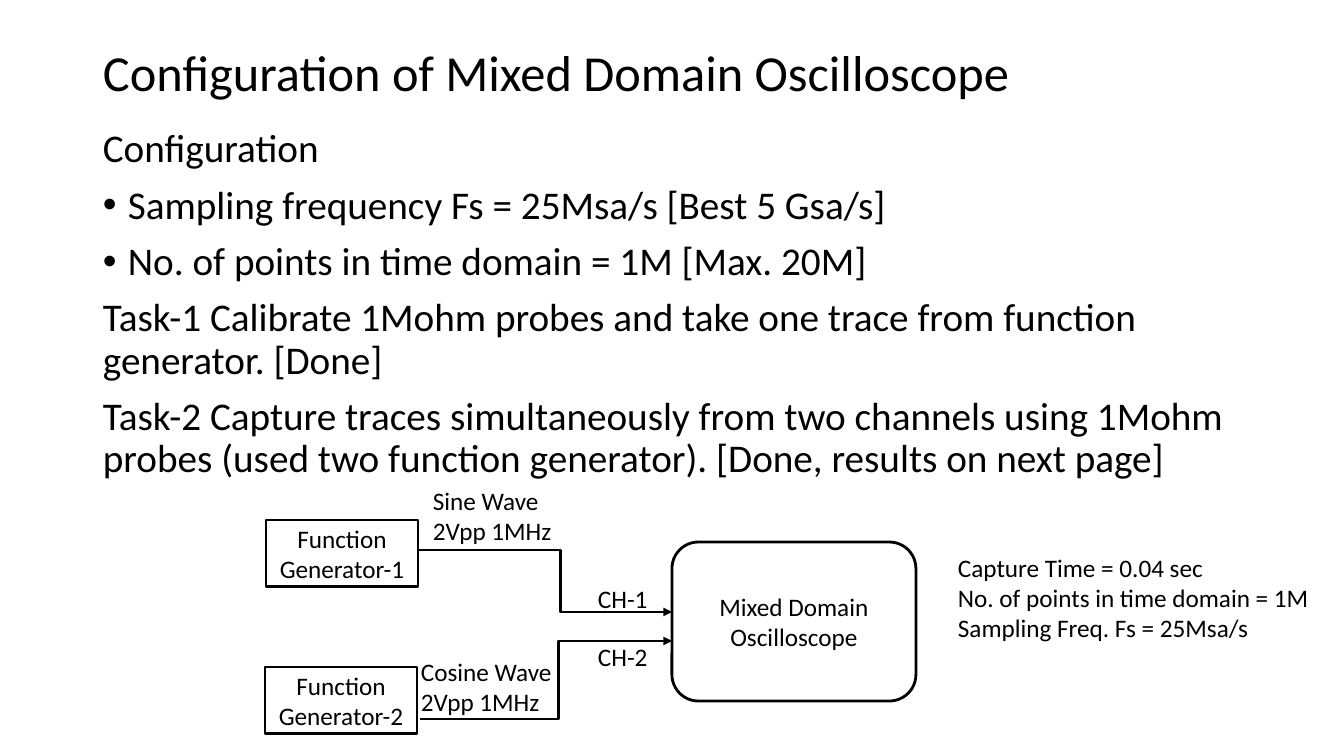
from dataclasses import dataclass

from lxml.etree import SubElement
from pptx import Presentation
from pptx.dml.color import RGBColor
from pptx.enum.shapes import MSO_CONNECTOR as CONN, MSO_SHAPE as SHAPE
from pptx.enum.text import MSO_ANCHOR as ANCHOR, PP_ALIGN as ALIGN
from pptx.oxml.ns import qn
from pptx.util import Emu, Pt

COLORS = {"ink": "000000", "paper": "FFFFFF"}
FONT = "Calibri"
EMU_PER_PX = 914400 / 100.8
BULLET_INDENT = 25


@dataclass(frozen=True)
class Line:
    text: str
    bullet: bool = False


@dataclass(frozen=True)
class TextBlock:
    left: int
    top: int
    width: int
    height: int
    lines: tuple[Line, ...]
    size: int = 18
    wrap: bool = False
    anchor: ANCHOR = ANCHOR.TOP
    spacing: float = 1.0
    before: int = 0


@dataclass(frozen=True)
class Device:
    left: int
    top: int
    width: int
    height: int
    name: str
    kind: SHAPE = SHAPE.RECTANGLE


@dataclass(frozen=True)
class Cable:
    start: tuple[int, int]
    end: tuple[int, int]
    bend: float


def px(n: int) -> Emu:
    return Emu(round(n * EMU_PER_PX))


def color(name: str) -> RGBColor:
    return RGBColor.from_string(COLORS[name])


def add_run(p, text: str, size: int) -> None:
    r = p.add_run()
    r.text = text
    r.font.size = Pt(size)
    r.font.name = FONT
    r.font.color.rgb = color("ink")


def add_bullet(p) -> None:
    pPr = p._p.get_or_add_pPr()
    pPr.set("marL", str(px(BULLET_INDENT)))
    pPr.set("indent", str(-px(BULLET_INDENT)))
    SubElement(pPr, qn("a:buFont")).set("typeface", "Arial")
    SubElement(pPr, qn("a:buChar")).set("char", "•")


def style_line(line) -> None:
    line.color.rgb = color("ink")
    line.width = Pt(2)


def add_text(s, block: TextBlock) -> None:
    box = map(px, (block.left, block.top, block.width, block.height))
    tf = s.shapes.add_textbox(*box).text_frame
    tf.word_wrap = block.wrap
    tf.vertical_anchor = block.anchor
    for i, line in enumerate(block.lines):
        p = tf.add_paragraph() if i else tf.paragraphs[0]
        p.line_spacing = block.spacing
        p.space_before = Pt(block.before)
        if line.bullet:
            add_bullet(p)
        add_run(p, line.text, block.size)


def add_device(s, device: Device) -> None:
    box = map(px, (device.left, device.top, device.width, device.height))
    sp = s.shapes.add_shape(device.kind, *box)
    sp.shadow.inherit = False
    sp.fill.background()
    style_line(sp.line)
    tf = sp.text_frame
    tf.word_wrap = True
    tf.vertical_anchor = ANCHOR.MIDDLE
    p = tf.paragraphs[0]
    p.alignment = ALIGN.CENTER
    add_run(p, device.name, 18)


def add_cable(s, cable: Cable) -> None:
    ends = map(px, (*cable.start, *cable.end))
    c = s.shapes.add_connector(CONN.ELBOW, *ends)
    style_line(c.line)
    spPr = c._element.spPr
    guide = SubElement(spPr.find(qn("a:prstGeom")).find(qn("a:avLst")), qn("a:gd"))
    guide.set("name", "adj1")
    guide.set("fmla", f"val {round(cable.bend * 100000)}")
    SubElement(spPr.find(qn("a:ln")), qn("a:tailEnd")).set("type", "triangle")
    SubElement(spPr, qn("a:effectLst"))


def lines(*texts: str) -> tuple[Line, ...]:
    return tuple(Line(text) for text in texts)


TITLE = TextBlock(93, 40, 1159, 70, lines("Configuration of Mixed Domain Oscilloscope"),
                  size=36, wrap=True, anchor=ANCHOR.MIDDLE, spacing=0.9)
BODY = TextBlock(93, 124, 1159, 376, (
    Line("Configuration"),
    Line("Sampling frequency Fs = 25Msa/s [Best 5 Gsa/s]", bullet=True),
    Line("No. of points in time domain = 1M [Max. 20M]", bullet=True),
    Line("Task-1 Calibrate 1Mohm probes and take one trace from function "
         "generator. [Done]"),
    Line("Task-2 Capture traces simultaneously from two channels using 1Mohm "
         "probes (used two function generator). [Done, results on next page]"),
), size=28, wrap=True, spacing=0.9, before=10)
DEVICES = (
    Device(266, 520, 152, 67, "Function Generator-1"),
    Device(265, 667, 152, 67, "Function Generator-2"),
    Device(672, 542, 244, 159, "Mixed Domain Oscilloscope", SHAPE.ROUNDED_RECTANGLE),
)
CABLES = (
    Cable((418, 550), (672, 612), 0.56),
    Cable((420, 719), (672, 641), 0.55),
)
LABELS = (
    TextBlock(588, 578, 71, 40, lines("CH-1")),
    TextBlock(588, 636, 71, 40, lines("CH-2")),
    TextBlock(423, 480, 140, 72, lines("Sine Wave", "2Vpp 1MHz")),
    TextBlock(411, 651, 152, 72, lines("Cosine Wave", "2Vpp 1MHz")),
    TextBlock(948, 547, 376, 102, lines(
        "Capture Time = 0.04 sec",
        "No. of points in time domain = 1M",
        "Sampling Freq. Fs = 25Msa/s")),
)

prs = Presentation()
prs.slide_width, prs.slide_height = px(1344), px(756)
s = prs.slides.add_slide(prs.slide_layouts[6])
s.background.fill.solid()
s.background.fill.fore_color.rgb = color("paper")

for block in (TITLE, BODY):
    add_text(s, block)
for device in DEVICES:
    add_device(s, device)
for cable in CABLES:
    add_cable(s, cable)
for label in LABELS:
    add_text(s, label)

prs.save("out.pptx")
